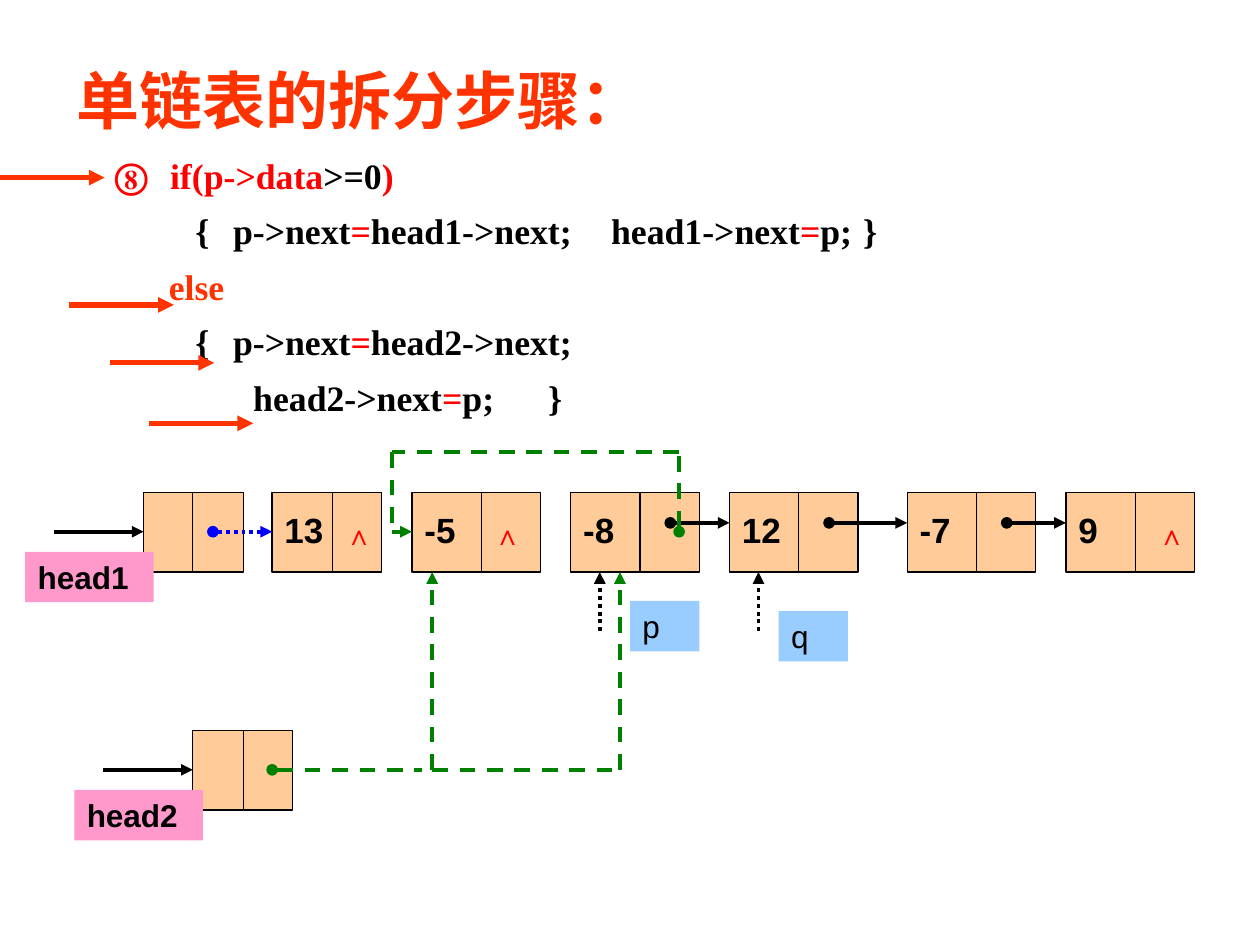
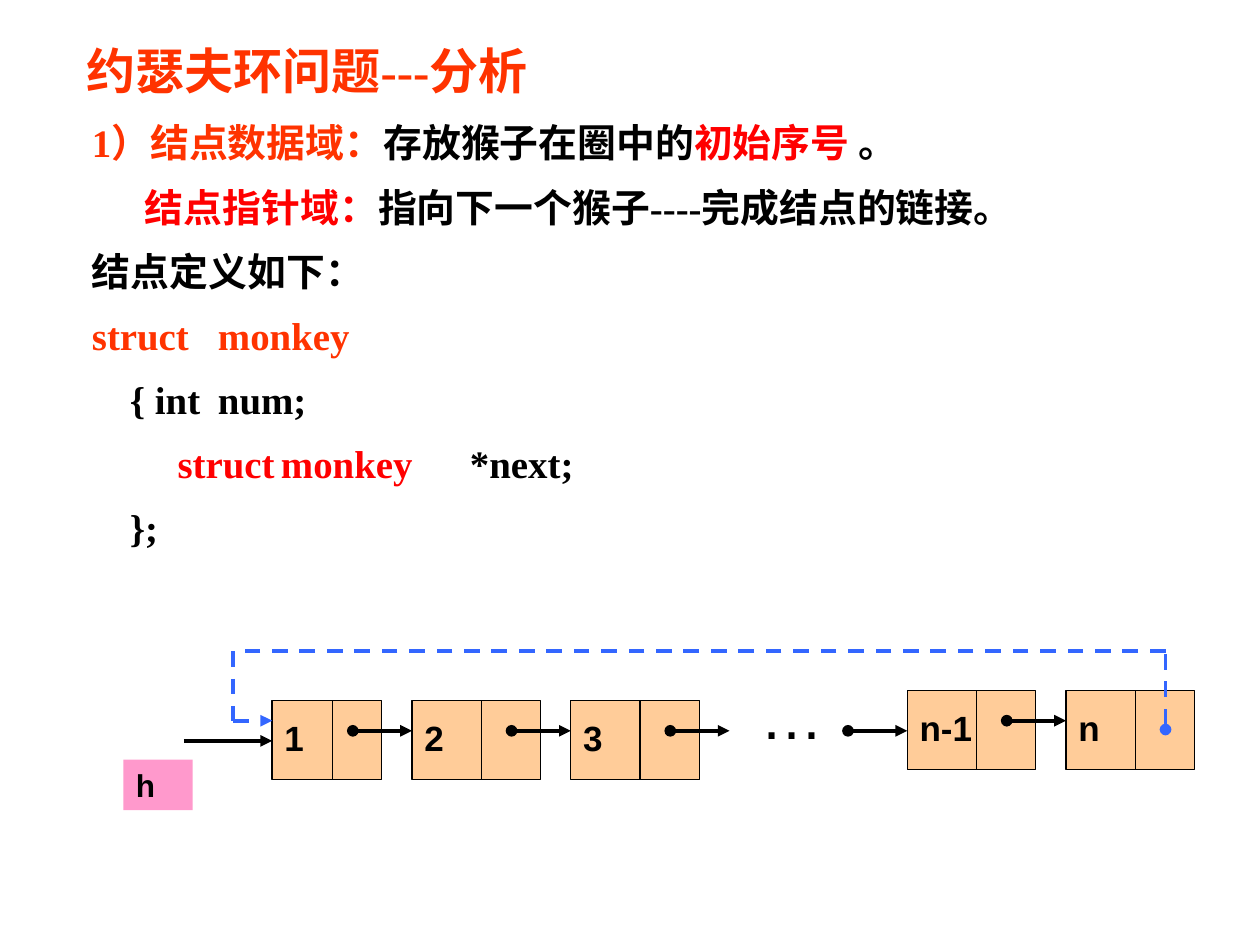
from pptx import Presentation
from pptx.dml.color import RGBColor
from pptx.enum import dml, shapes, text
from pptx.oxml import xmlchemy
from pptx.oxml.ns import qn
from pptx.util import Inches, Pt

# Shared look
BLACK, RED, ORANGE = "000000", "FF0000", "FF3300"
PEACH, PINK, SKY = "FFCC99", "FF99CC", "99CCFF"
BLUE, GREEN, RING_BLUE = "0000FF", "008000", "3366FF"
SERIF, SANS = "Times New Roman", "Arial"
NODE_HEIGHT = 0.63
DOTTED, DASHED = dml.MSO_LINE.ROUND_DOT, dml.MSO_LINE.DASH


def color(value):
    return RGBColor.from_string(value)


def add_element(parent, tag, **attributes):
    element = xmlchemy.OxmlElement(tag)
    for name, value in attributes.items():
        element.set(name, str(value))
    parent.append(element)
    return element


def place(shape, left, top, width, height):
    shape.left, shape.top = Inches(left), Inches(top)
    shape.width, shape.height = Inches(width), Inches(height)


def add_run(paragraph, content, size=20, font=SANS, ink=BLACK, bold=True):
    run = paragraph.add_run()
    run.text = content
    run.font.size, run.font.name, run.font.bold = Pt(size), font, bold
    run.font.color.rgb = color(ink)


def write(shape, content, anchor=text.MSO_ANCHOR.TOP, wrap=True, **style):
    """Put one left-aligned line of formatted text into a shape."""
    frame = shape.text_frame
    frame.word_wrap, frame.vertical_anchor = wrap, anchor
    frame.auto_size = text.MSO_AUTO_SIZE.NONE
    frame.paragraphs[0].alignment = text.PP_ALIGN.LEFT
    add_run(frame.paragraphs[0], content, **style)


def add_text(slide, box, content, **style):
    shape = slide.shapes.add_textbox(*map(Inches, box))
    write(shape, content, wrap=False, **style)


def add_box(slide, box, fill, outline=None):
    shape = slide.shapes.add_shape(shapes.MSO_SHAPE.RECTANGLE, *map(Inches, box))
    shape.shadow.inherit = False
    shape.fill.solid()
    shape.fill.fore_color.rgb = color(fill)
    if outline:
        shape.line.color.rgb, shape.line.width = color(outline), Pt(0.75)
    else:
        shape.line.fill.background()
    return shape


def add_tag(slide, left, top, content, width=1.02, fill=PINK, bold=True):
    write(add_box(slide, (left, top, width, 0.4), fill), content, size=18, bold=bold)


def add_line(slide, start, end, ink=BLACK, width=2.25, dash=None, dot=False, arrow=True):
    line = slide.shapes.add_connector(
        shapes.MSO_CONNECTOR.STRAIGHT, *map(Inches, (*start, *end)))
    line.line.color.rgb, line.line.width = color(ink), Pt(width)
    if dash:
        line.line.dash_style = dash
    outline = line.line._get_or_add_ln()
    if dot:
        add_element(outline, "a:headEnd", type="oval")
    if arrow:
        add_element(outline, "a:tailEnd", type="triangle")
    add_element(line._element.spPr, "a:effectLst")


def add_route(slide, points, ink, dot=False, arrow=True):
    """Dashed path whose first end may have a dot and last end an arrowhead."""
    last = len(points) - 2
    for index, (start, end) in enumerate(zip(points, points[1:])):
        add_line(slide, start, end, ink=ink, dash=DASHED,
                 dot=dot and index == 0, arrow=arrow and index == last)


def add_node(slide, left, top, width, divider, label="", link_to=None, null_at=None):
    """List node: data cell, pointer cell, and a link or a null mark."""
    add_box(slide, (left, top, width, NODE_HEIGHT), PEACH, BLACK)
    split = left + divider
    add_line(slide, (split, top), (split, top + NODE_HEIGHT), width=0.75, arrow=False)
    if label:
        add_text(slide, (left, top + 0.08, 0.63, 0.44), label)
    if link_to:
        add_line(slide, (left + width - 0.23, top + 0.24), (link_to, top + 0.24), dot=True)
    if null_at is not None:
        add_text(slide, (split + null_at, top + 0.15, 0.39, 0.33), "∧",
                 size=16, font=SERIF, ink=RED)


def add_title(slide, box, content, size, anchor):
    place(slide.shapes.title, *box)
    write(slide.shapes.title, content, anchor=anchor, size=size, font=SERIF, ink=ORANGE)


def add_body(slide, box, lines, size, spacing):
    """Each line holds its indent, its tab stops and its (text, colour) runs."""
    body = slide.placeholders[1]
    place(body, *box)
    frame = body.text_frame
    frame.word_wrap, frame.auto_size = True, text.MSO_AUTO_SIZE.NONE
    for index, (indent, stops, runs) in enumerate(lines):
        paragraph = frame.add_paragraph() if index else frame.paragraphs[0]
        paragraph.space_before, paragraph.line_spacing = Pt(6), spacing
        properties = paragraph._p.get_or_add_pPr()
        properties.set("marL", "0")
        properties.set("indent", str(Inches(indent)))
        add_element(properties, "a:buNone")
        if stops:
            tabs = add_element(properties, "a:tabLst")
            for stop in stops:
                add_element(tabs, "a:tab", pos=Inches(stop), algn="l")
        for content, ink in runs:
            add_run(paragraph, content, size=size, font=SERIF, ink=ink)


def split_diagram(slide, left, top):
    """Two lists being split, with the rerouted links in green."""
    def at(x, y):
        return left + x, top + y

    row, middle, bottom = 0.32, 0.63, 0.95
    # First list: x, width, divider, label, next node, null mark offset
    for x, width, divider, label, following, null_at in (
            (0.94, 0.79, 0.39, "", None, None),
            (1.96, 0.87, 0.48, "13", None, 0),
            (3.07, 1.02, 0.55, "-5", None, 0),
            (4.33, 1.02, 0.55, "-8", 5.59, None),
            (5.59, 1.02, 0.55, "12", 7.0, None),
            (7.0, 1.02, 0.55, "-7", 8.26, None),
            (8.26, 1.02, 0.55, "9", None, 0.08)):
        add_node(slide, *at(x, row), width, divider, label,
                 link_to=left + following if following else None, null_at=null_at)
    add_line(slide, at(1.49, middle), at(1.96, middle), ink=BLUE, dash=DOTTED, dot=True)

    # Second list
    add_node(slide, *at(1.33, 2.21), 0.79, 0.4)

    # Head pointers
    for x, y, label in ((0, 0.79, "head1"), (0.39, 2.68, "head2")):
        add_tag(slide, *at(x, y), label)
        add_line(slide, at(x + 0.23, y - 0.16), at(x + 0.94, y - 0.16))

    # Working pointers p and q
    for x, tag_x, tag_y, label in ((4.56, 4.8, 1.18, "p"), (5.82, 5.98, 1.26, "q")):
        add_line(slide, at(x, 1.42), at(x, bottom), dash=DOTTED)
        add_tag(slide, *at(tag_x, tag_y), label, width=0.55, fill=SKY, bold=False)

    # New links
    base = 2.52
    add_route(slide, [at(1.96, base), at(3.15, base)], GREEN, dot=True, arrow=False)
    add_route(slide, [at(3.23, base), at(3.23, bottom)], GREEN)
    add_route(slide, [at(3.23, base), at(4.72, base), at(4.72, bottom)], GREEN)
    add_route(slide, [at(5.19, middle), at(5.19, 0), at(2.91, 0),
                      at(2.91, middle), at(3.07, middle)], GREEN, dot=True)


def ring_diagram(slide, left, top):
    """Circular list of n nodes, closed by a dashed link."""
    def at(x, y):
        return left + x, top + y

    for x, y, width, divider, label, following in (
            (1.18, 0.39, 0.87, 0.48, "1", 2.29),
            (2.29, 0.39, 1.02, 0.55, "2", 3.55),
            (3.55, 0.39, 1.02, 0.55, "3", 4.81),
            (6.22, 0.31, 1.02, 0.55, "n-1", 7.48),
            (7.48, 0.31, 1.02, 0.55, "n", None)):
        add_node(slide, *at(x, y), width, divider, label,
                 link_to=left + following if following else None)
    add_text(slide, (*at(4.96, 0.15), 0.63, 0.7), "…", size=36, bold=False)
    add_line(slide, at(5.75, 0.63), at(6.22, 0.63), dot=True)

    # Head pointer and closing link
    add_tag(slide, *at(0, 0.86), "h", width=0.55)
    add_line(slide, at(0.48, 0.71), at(1.18, 0.71))
    add_route(slide, [at(8.27, 0.62), at(8.27, 0), at(0.87, 0),
                      at(0.87, 0.55), at(1.18, 0.55)], RING_BLUE, dot=True)


def split_slide(presentation):
    slide = presentation.slides.add_slide(presentation.slide_layouts[1])
    add_title(slide, (0.51, 0.44, 8.5, 0.7), "单链表的拆分步骤：", 36, text.MSO_ANCHOR.MIDDLE)
    equals = ("=", RED)
    add_body(slide, (0.75, 1.15, 8.58, 2.12), [
        (0.06, [0.47], [("⑧\tif(p->data", RED), (">=0", BLACK), (")", RED)]),
        (0.7, [1.8, 4.66, 6.93], [("{\tp->next", BLACK), equals,
                                  ("head1->next;\thead1->next", BLACK), equals,
                                  ("p;\t}", BLACK)]),
        (0.49, [], [("else", ORANGE)]),
        (0.7, [1.03], [("{\tp->next", BLACK), equals, ("head2->next;", BLACK)]),
        (1.16, [3.42], [("head2->next", BLACK), equals, ("p;\t}", BLACK)]),
    ], size=20.4, spacing=1.05)
    # Step markers
    for x, y in ((0, 1.41), (0.55, 2.42), (0.87, 2.88), (1.18, 3.36)):
        add_line(slide, (x, y), (x + 0.83, y), ink=ORANGE, width=3)
    split_diagram(slide, 0.2, 3.59)


def ring_slide(presentation):
    slide = presentation.slides.add_slide(presentation.slide_layouts[1])
    add_title(slide, (0.59, 0.27, 8.81, 0.57), "约瑟夫环问题---分析", 28, text.MSO_ANCHOR.BOTTOM)
    add_body(slide, (0.63, 0.84, 9.02, 3.46), [
        (0, [], [("1）结点数据域：", ORANGE), ("存放猴子在圈中的", BLACK),
                 ("初始序号", RED), (" 。", BLACK)]),
        (0.42, [], [("结点指针域：", RED), ("指向下一个猴子----完成结点的链接。", BLACK)]),
        (0, [], [("结点定义如下：", BLACK)]),
        (0, [0.92], [("struct\tmonkey", ORANGE)]),
        (0.3, [0.73, 1.24], [("{\tint\tnum;", BLACK)]),
        (0.68, [1.76, 3.04], [("struct\tmonkey", RED), ("\t*next;", BLACK)]),
        (0.3, [], [("};", BLACK)]),
    ], size=22.2, spacing=1.15)
    ring_diagram(slide, 0.98, 5.17)


presentation = Presentation()
presentation.slide_width, presentation.slide_height = Inches(10), Inches(7.5)
split_slide(presentation)
ring_slide(presentation)
presentation.save("out.pptx")
